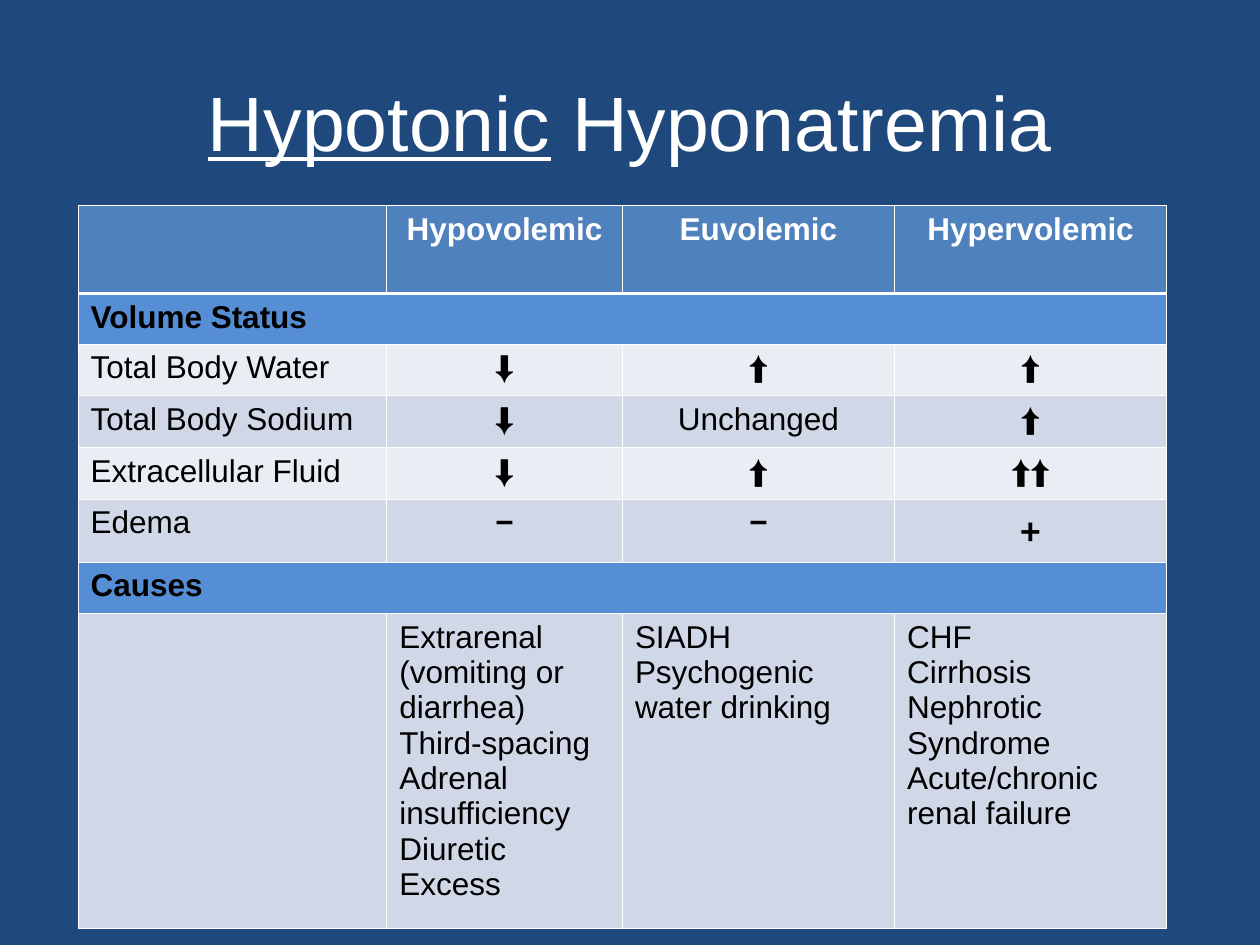
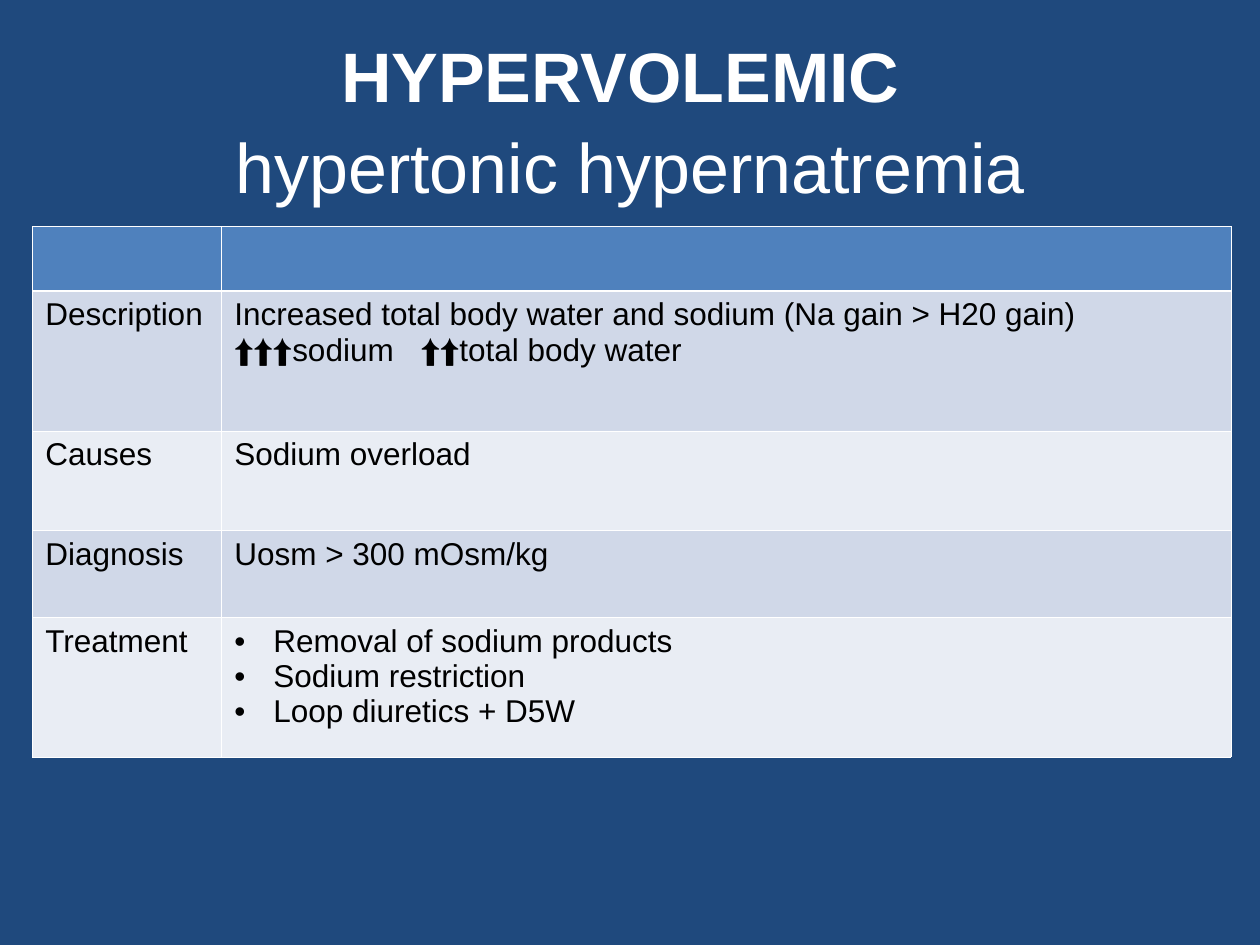
"""Build two slides of tables on sodium and volume disorders."""
import pptx
import pptx.dml.color
import pptx.enum.text
import pptx.oxml
import pptx.oxml.ns
import pptx.util
from lxml import etree

Inches = pptx.util.Inches
Pt = pptx.util.Pt
CENTER = pptx.enum.text.PP_ALIGN.CENTER

NAVY, WHITE, BLACK = "1F497D", "FFFFFF", "000000"
HEADER, SECTION = "4F81BD", "558ED5"
BANDS = ["E9EDF4", "D0D8E8"]
FONT = "Arial"
THIN, THICK = 0.45, 1.47


def rgb(hex_string):
    return pptx.dml.color.RGBColor.from_string(hex_string)


def add_xml(parent, tag, **attributes):
    return etree.SubElement(parent, pptx.oxml.ns.qn(tag), attributes)


topics = [
    {
        "title": ("Hypotonic", " Hyponatremia"),
        "title_size": 44,
        "emphasis": "underline",
        "corner": (0.62, 1.63),
        "columns": [2.45, 1.87, 2.16, 2.16],
        "heights": [0.7, 0.4, 0.41, 0.41, 0.41, 0.5, 0.41, 2.5],
        "centred_rows": [0, 2, 3, 4, 5],
        "rows": [
            ["", "Hypovolemic", "Euvolemic", "Hypervolemic"],
            ["Volume Status"],
            ["Total Body Water", "⬇", "⬆", "⬆"],
            ["Total Body Sodium", "⬇", "Unchanged", "⬆"],
            ["Extracellular Fluid", "⬇", "⬆", "⬆⬆"],
            ["Edema", "−", "−", "+"],
            ["Causes"],
            ["",
             "Extrarenal (vomiting or diarrhea)\nThird-spacing\nAdrenal insufficiency\nDiuretic Excess",
             "SIADH\nPsychogenic water drinking",
             "CHF\nCirrhosis\nNephrotic Syndrome\nAcute/chronic renal failure"],
        ],
    },
    {
        "title": ("HYPERVOLEMIC \v", "hypertonic hypernatremia"),
        "title_size": 40,
        "emphasis": "bold",
        "corner": (0.26, 1.8),
        "columns": [1.5, 8.01],
        "heights": [0.51, 1.11, 0.79, 0.69, 1.11],
        "centred_rows": [],
        "rows": [
            ["", ""],
            ["Description",
             "Increased total body water and sodium (Na gain > H20 gain)\n"
             "⬆⬆⬆sodium\t⬆⬆total body water"],
            ["Causes", "Sodium overload"],
            ["Diagnosis", "Uosm > 300 mOsm/kg"],
            ["Treatment", "Removal of sodium products\nSodium restriction\nLoop diuretics + D5W"],
        ],
    },
]

deck = pptx.Presentation()
deck.slide_width, deck.slide_height = Inches(10), Inches(7.5)

for topic in topics:
    slide = deck.slides.add_slide(deck.slide_layouts[6])
    slide.background.fill.solid()
    slide.background.fill.fore_color.rgb = rgb(NAVY)

    heading = slide.shapes.add_textbox(Inches(0.5), Inches(0.3), Inches(9), Inches(1.25)).text_frame
    heading.word_wrap = True
    heading.vertical_anchor = pptx.enum.text.MSO_ANCHOR.MIDDLE
    heading.margin_top = heading.margin_bottom = 0
    title = heading.paragraphs[0]
    title.alignment = CENTER
    title.line_spacing = 1.08
    title.text = topic["title"][0]
    title.add_run().text = topic["title"][1]
    for run in title.runs:
        run.font.name, run.font.size = FONT, Pt(topic["title_size"])
        run.font.color.rgb = rgb(WHITE)
    setattr(title.runs[0].font, topic["emphasis"], True)

    columns, heights = topic["columns"], topic["heights"]
    left, top = topic["corner"]
    table = slide.shapes.add_table(
        len(heights), len(columns), Inches(left), Inches(top),
        Inches(sum(columns)), Inches(sum(heights))).table
    for column, width in zip(table.columns, columns):
        column.width = Inches(width)

    for r, entries in enumerate(topic["rows"]):
        table.rows[r].height = Inches(heights[r])
        is_section = len(entries) == 1
        band = HEADER if r == 0 else SECTION if is_section else BANDS[r % 2]
        for c in range(len(columns)):
            cell = table.cell(r, c)
            edges = {"a:lnL": THIN, "a:lnR": THIN,
                     "a:lnT": THICK if r == 1 else THIN,
                     "a:lnB": THICK if r == 0 else THIN}
            for edge, width in edges.items():
                line = add_xml(cell._tc.get_or_add_tcPr(), edge, w=str(Pt(width)))
                add_xml(add_xml(line, "a:solidFill"), "a:srgbClr", val=WHITE)
            cell.fill.solid()
            cell.fill.fore_color.rgb = rgb(band)
        if is_section:
            table.cell(r, 0).merge(table.cell(r, len(columns) - 1))

        for c, entry in enumerate(entries):
            cell = table.cell(r, c)
            cell.text_frame.text = entry
            for paragraph in cell.text_frame.paragraphs:
                if c > 0 and r in topic["centred_rows"]:
                    paragraph.alignment = CENTER
                properties = paragraph._p.get_or_add_pPr()
                if entries[0] == "Treatment" and c == 1:
                    properties.set("marL", str(Inches(0.31)))
                    properties.set("indent", str(Inches(-0.31)))
                    add_xml(add_xml(properties, "a:buClr"), "a:srgbClr", val=BLACK)
                    add_xml(properties, "a:buFont", typeface=FONT)
                    add_xml(properties, "a:buChar", char="•")
                if "\t" in paragraph.text:
                    add_xml(add_xml(properties, "a:tabLst"), "a:tab", pos=str(Inches(1.48)), algn="l")
                for run in paragraph.runs:
                    is_plus = entry == "+"
                    run.font.name = "Noto Sans CJK JP" if is_plus else FONT
                    run.font.size = Pt(20 if is_plus else 18)
                    run.font.bold = r == 0 or is_section or entry in ("−", "+")
                    run.font.color.rgb = rgb(WHITE if r == 0 else BLACK)

deck.save("out.pptx")
